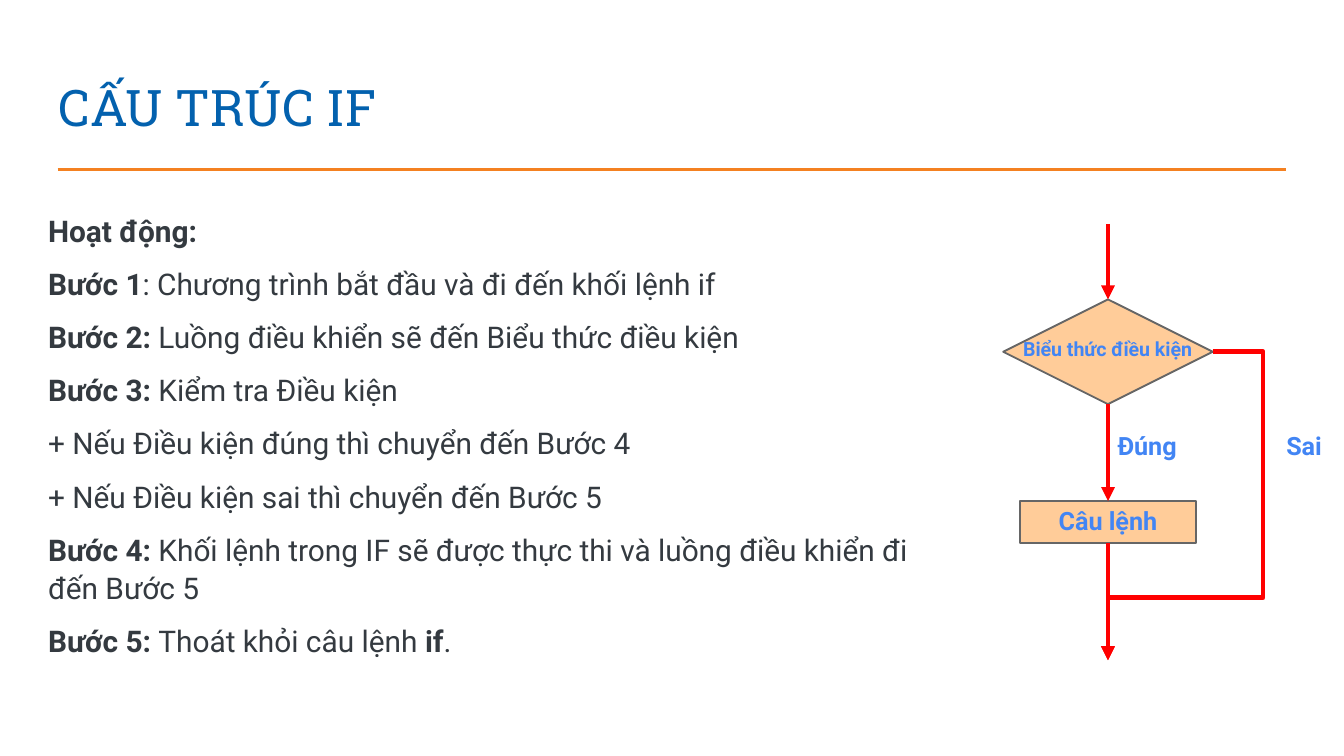
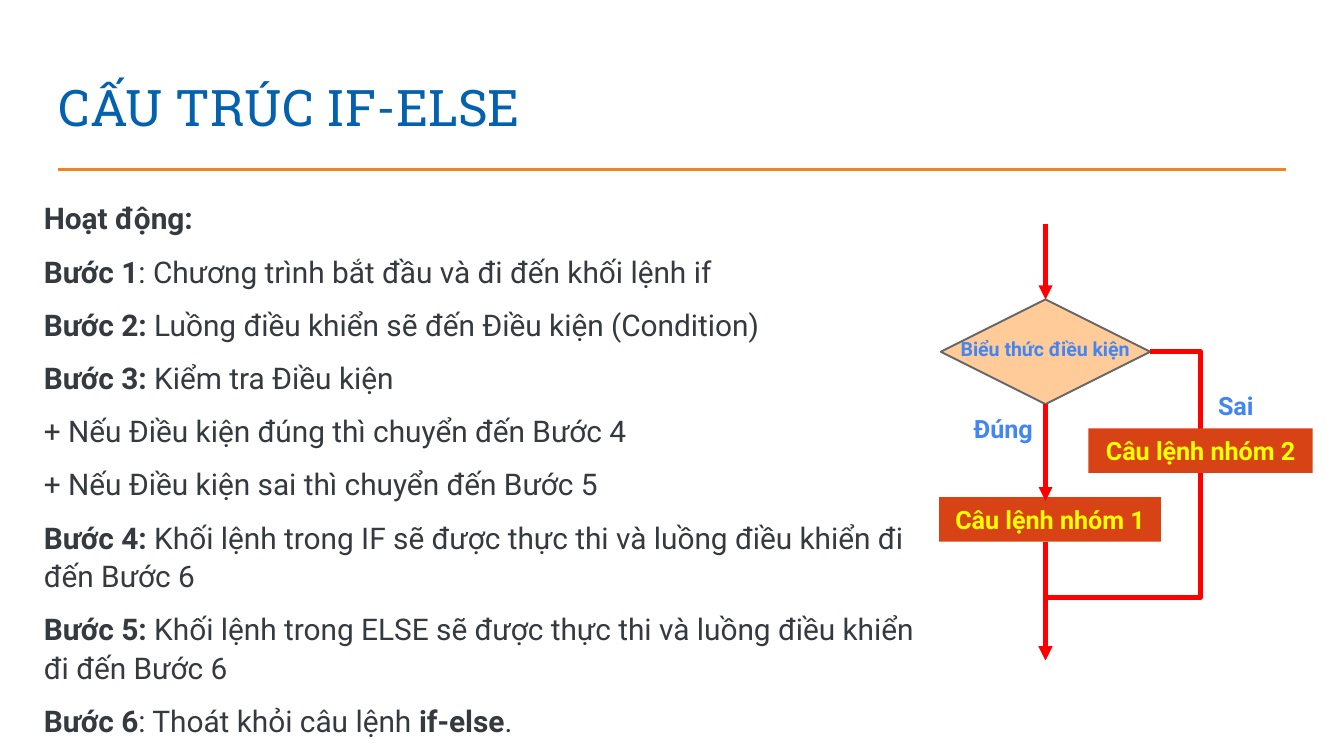
from dataclasses import dataclass
from typing import Any

from lxml import etree
from pptx import Presentation
from pptx import util as u
from pptx.dml.color import RGBColor
from pptx.enum import shapes, text
from pptx.oxml import ns


@dataclass(frozen=True)
class Theme:
    title_font: str = "Roboto Slab"
    body_font: str = "Roboto"
    title: str = "0361AE"
    rule: str = "F48121"
    body: str = "343A40"
    label: str = "4285F4"
    flow: str = "FF0000"
    box: str = "FFCC99"
    outline: str = "666666"
    group: str = "D84315"
    group_text: str = "FFFF00"
    title_size: float = 27
    body_size: float = 16
    label_size: float = 13.5
    condition_size: float = 10.5
    rule_width: float = 1.5
    flow_width: float = 2.5
    outline_width: float = 1


@dataclass(frozen=True)
class Box:
    left: float
    top: float
    width: float
    height: float

    def lengths(self) -> tuple[u.Length, ...]:
        return tuple(u.Cm(v) for v in (self.left, self.top, self.width, self.height))


@dataclass(frozen=True)
class Label:
    text: str
    box: Box
    size: float


@dataclass(frozen=True)
class Block:
    box: Box
    fill: str
    outline: str = ""
    text: str = ""


@dataclass(frozen=True)
class Flowchart:
    axis: float
    blocks: list[Block]
    labels: list[Label]
    joined: bool = False


@dataclass(frozen=True)
class Lesson:
    title: str
    body_box: Box
    steps: list[str]
    flowchart: Flowchart


THEME = Theme()
TITLE_BOX = Box(0.86, 1.24, 23.67, 1.6)
RULE_LEFT, RULE_RIGHT, RULE_Y = 1.09, 24.31, 3.2
ENTRY_Y, EXIT_Y = 4.23, 12.48
DIAMOND_WIDTH, DIAMOND_HEIGHT, DIAMOND_TOP = 3.96, 1.98, 5.66
STATEMENT_TOP = 9.47
LABEL_HEIGHT = 0.84


def color(value: str) -> RGBColor:
    return RGBColor.from_string(value)


def write_text(
    frame: Any,
    lines: list[str],
    *,
    font: str = THEME.body_font,
    size: float = THEME.label_size,
    fill: str = THEME.label,
    bold: bool = False,
    align: text.PP_ALIGN = text.PP_ALIGN.CENTER,
    anchor: text.MSO_ANCHOR = text.MSO_ANCHOR.MIDDLE,
    wrap: bool = False,
    grow: bool = True,
    spacing: float = 1,
    after: float = 0,
) -> None:
    frame.word_wrap = wrap
    frame.vertical_anchor = anchor
    sizing = text.MSO_AUTO_SIZE
    frame.auto_size = sizing.SHAPE_TO_FIT_TEXT if grow else sizing.NONE
    for index, line in enumerate(lines):
        paragraph = frame.add_paragraph() if index else frame.paragraphs[0]
        paragraph.alignment = align
        paragraph.line_spacing = spacing
        paragraph.space_before = u.Pt(0)
        paragraph.space_after = u.Pt(after)
        for part, words in enumerate(line.split("**")):
            if words:
                run = paragraph.add_run()
                run.text = words
                run.font.name = font
                run.font.size = u.Pt(size)
                run.font.bold = bold or part % 2 == 1
                run.font.color.rgb = color(fill)


def draw_line(
    parent: Any,
    start: tuple[float, float],
    end: tuple[float, float],
    *,
    stroke: str = THEME.flow,
    width: float = THEME.flow_width,
    arrow: bool = True,
    kind: shapes.MSO_CONNECTOR = shapes.MSO_CONNECTOR.STRAIGHT,
) -> Any:
    points = [u.Cm(value) for value in (*start, *end)]
    connector = parent.add_connector(kind, *points)
    connector.line.color.rgb = color(stroke)
    connector.line.width = u.Pt(width)
    properties = connector.element.spPr
    if arrow:
        line = properties.find(ns.qn("a:ln"))
        etree.SubElement(line, ns.qn("a:tailEnd"), type="triangle")
    etree.SubElement(properties, ns.qn("a:effectLst"))
    return connector


def draw_bypass(parent: Any, start: tuple[float, float], end: tuple[float, float]) -> None:
    connector = draw_line(parent, start, end, kind=shapes.MSO_CONNECTOR.ELBOW)
    geometry = connector.element.spPr.find(ns.qn("a:prstGeom"))
    geometry.set("prst", "bentConnector4")
    guides = geometry.find(ns.qn("a:avLst"))
    for name, value in (("adj1", -48200), ("adj2", 79700)):
        etree.SubElement(guides, ns.qn("a:gd"), name=name, fmla=f"val {value}")


def draw_shape(parent: Any, kind: shapes.MSO_SHAPE, box: Box, fill: str, outline: str) -> Any:
    shape = parent.add_shape(kind, *box.lengths())
    shape.shadow.inherit = False
    shape.fill.solid()
    shape.fill.fore_color.rgb = color(fill)
    if outline:
        shape.line.color.rgb = color(outline)
        shape.line.width = u.Pt(THEME.outline_width)
    else:
        shape.line.fill.background()
    return shape


def draw_block(parent: Any, block: Block) -> Any:
    shape = draw_shape(parent, shapes.MSO_SHAPE.RECTANGLE, block.box, block.fill, block.outline)
    if block.text:
        write_text(shape.text_frame, [block.text], fill=THEME.group_text, bold=True)
    return shape


def draw_label(parent: Any, label: Label) -> None:
    shape = parent.add_textbox(*label.box.lengths())
    write_text(shape.text_frame, [label.text], size=label.size, bold=True)


def draw_flowchart(slide: Any, chart: Flowchart) -> None:
    parent = slide.shapes.add_group_shape().shapes
    axis = chart.axis
    diamond_right = axis + DIAMOND_WIDTH / 2
    diamond_middle = DIAMOND_TOP + DIAMOND_HEIGHT / 2
    diamond_bottom = DIAMOND_TOP + DIAMOND_HEIGHT
    diamond_box = Box(axis - DIAMOND_WIDTH / 2, DIAMOND_TOP, DIAMOND_WIDTH, DIAMOND_HEIGHT)
    diamond = draw_shape(
        parent, shapes.MSO_SHAPE.DIAMOND, diamond_box, THEME.box, THEME.outline
    )
    condition_box = Box(axis - 1.87, 6.23, 3.73, 0.71)
    draw_label(parent, Label("Biểu thức điều kiện", condition_box, THEME.condition_size))
    entry = draw_line(parent, (axis, ENTRY_Y), (axis, DIAMOND_TOP))
    entry.end_connect(diamond, 0)
    draw_bypass(parent, (diamond_right, diamond_middle), (axis, EXIT_Y))

    statement, *_ = [draw_block(parent, block) for block in chart.blocks]
    first = chart.blocks[0].box
    leave = draw_line(parent, (axis, first.top + first.height), (axis, EXIT_Y))
    true_branch = draw_line(parent, (axis, diamond_bottom), (axis, STATEMENT_TOP))
    true_branch.begin_connect(diamond, 2)
    if chart.joined:
        leave.begin_connect(statement, 2)
        true_branch.end_connect(statement, 0)
    for label in chart.labels:
        draw_label(parent, label)


def add_lesson(presentation: Any, lesson: Lesson) -> None:
    slide = presentation.slides.add_slide(presentation.slide_layouts[5])
    draw_line(
        slide.shapes, (RULE_LEFT, RULE_Y), (RULE_RIGHT, RULE_Y),
        stroke=THEME.rule, width=THEME.rule_width, arrow=False,
    )
    title = slide.shapes.title
    title.left, title.top, title.width, title.height = TITLE_BOX.lengths()
    frame = title.text_frame
    frame.margin_left = frame.margin_right = u.Cm(0.25)
    frame.margin_top = frame.margin_bottom = u.Cm(0.25)
    write_text(
        frame, [lesson.title], font=THEME.title_font, size=THEME.title_size,
        fill=THEME.title, align=text.PP_ALIGN.LEFT, anchor=text.MSO_ANCHOR.BOTTOM,
        wrap=True, grow=False,
    )
    body = slide.shapes.add_textbox(*lesson.body_box.lengths())
    write_text(
        body.text_frame, lesson.steps, size=THEME.body_size, fill=THEME.body,
        align=text.PP_ALIGN.LEFT, anchor=text.MSO_ANCHOR.TOP, wrap=True,
        spacing=1.07, after=8,
    )
    draw_flowchart(slide, lesson.flowchart)


def activity_steps(condition: str, last: int, closing: list[str]) -> list[str]:
    return [
        "**Hoạt động:**",
        "**Bước 1**: Chương trình bắt đầu và đi đến khối lệnh if",
        f"**Bước 2: **Luồng điều khiển sẽ đến {condition}",
        "**Bước 3: **Kiểm tra Điều kiện",
        "+ Nếu Điều kiện đúng thì chuyển đến Bước 4",
        "+ Nếu Điều kiện sai thì chuyển đến Bước 5",
        "**Bước 4: **Khối lệnh trong IF sẽ được thực thi và luồng điều khiển đi "
        f"đến Bước {last}",
        *closing,
    ]


def branch_label(words: str, left: float, top: float, width: float) -> Label:
    return Label(words, Box(left, top, width, LABEL_HEIGHT), THEME.label_size)


LESSONS = [
    Lesson(
        "CẤU TRÚC IF",
        Box(0.66, 3.84, 17.6, 8.84),
        activity_steps(
            "Biểu thức điều kiện", 5, ["**Bước 5: **Thoát khỏi câu lệnh **if**."]
        ),
        Flowchart(
            20.94,
            [Block(Box(19.28, STATEMENT_TOP, 3.32, 0.79), THEME.box, THEME.outline)],
            [
                branch_label("Sai", 24.05, 8, 1.19),
                branch_label("Câu lệnh", 19.71, 9.42, 2.46),
                branch_label("Đúng", 20.83, 8, 1.7),
            ],
            joined=True,
        ),
    ),
    Lesson(
        "CẤU TRÚC IF-ELSE",
        Box(0.58, 3.61, 17.07, 10.59),
        activity_steps(
            "Điều kiện (Condition)",
            6,
            [
                "**Bước 5: **Khối lệnh trong ELSE sẽ được thực thi và luồng điều khiển "
                "đi đến Bước 6",
                "**Bước 6**: Thoát khỏi câu lệnh **if-else**.",
            ],
        ),
        Flowchart(
            19.76,
            [
                Block(Box(17.75, 9.4, 4.19, 0.84), THEME.group, text="Câu lệnh nhóm 1"),
                Block(Box(20.57, 8.1, 4.24, 0.84), THEME.group, text="Câu lệnh nhóm 2"),
            ],
            [branch_label("Sai", 22.76, 7.24, 1.19), branch_label("Đúng", 18.11, 7.67, 1.7)],
        ),
    ),
]


def main() -> None:
    presentation = Presentation()
    presentation.slide_width = u.Cm(25.4)
    presentation.slide_height = u.Cm(14.29)
    for lesson in LESSONS:
        add_lesson(presentation, lesson)
    presentation.save("out.pptx")


if __name__ == "__main__":
    main()
